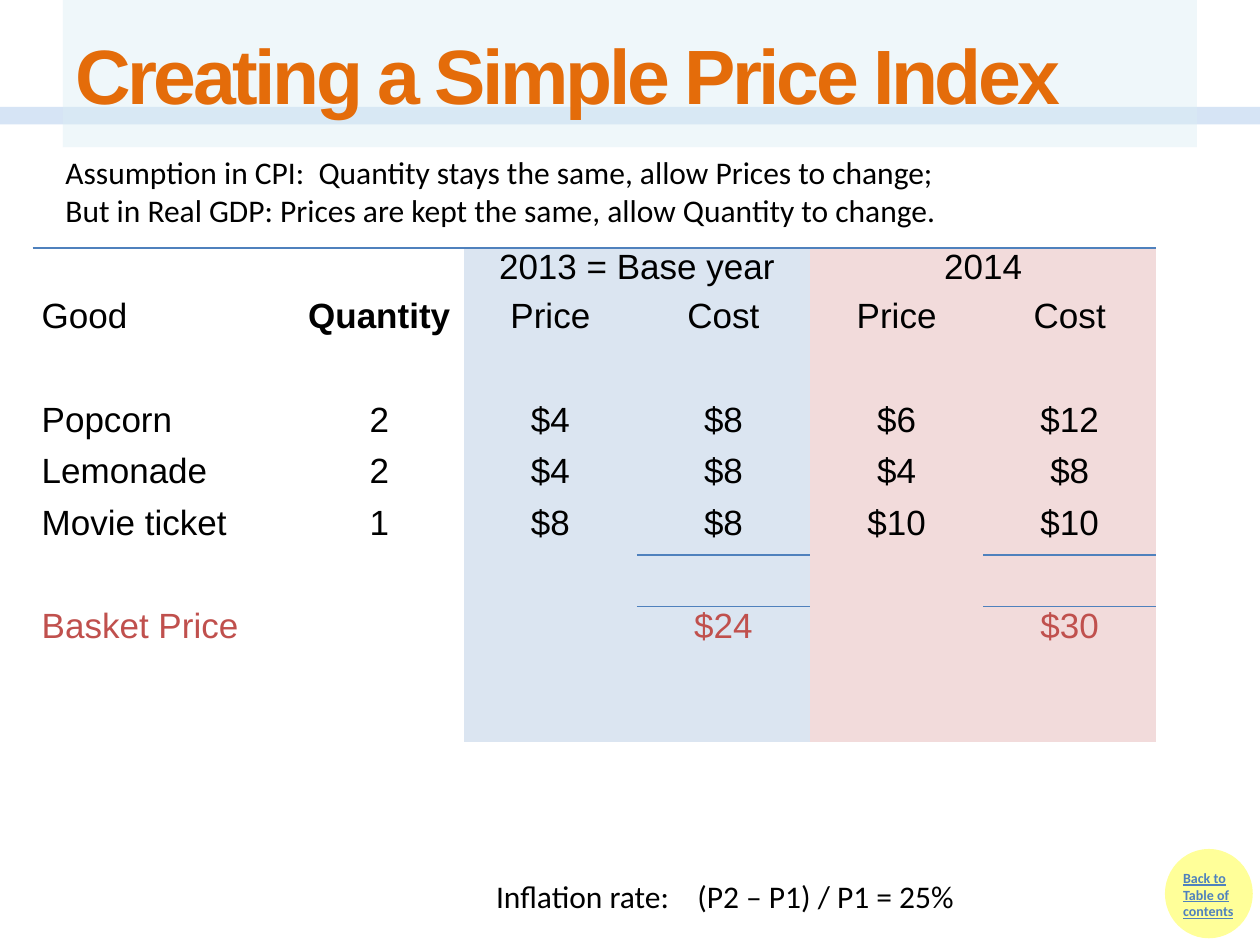
from pptx import Presentation
from pptx.dml.color import RGBColor
from pptx.enum.shapes import MSO_CONNECTOR, MSO_SHAPE
from pptx.enum.text import MSO_ANCHOR, PP_ALIGN
from pptx.oxml import parse_xml
from pptx.oxml.ns import nsdecls, qn
from pptx.util import Cm, Pt
from lxml import etree

STRAIGHT = MSO_CONNECTOR.STRAIGHT
RECTANGLE, OVAL = MSO_SHAPE.RECTANGLE, MSO_SHAPE.OVAL
LEFT, CENTER = PP_ALIGN.LEFT, PP_ALIGN.CENTER
TOP, MIDDLE = MSO_ANCHOR.TOP, MSO_ANCHOR.MIDDLE

COLORS = {
    "band": "C6D9F1", "title_fill": "DBEEF4", "title": "E46C0A",
    "button": "FFFF99", "accent": "4F81BD", "text": "000000",
    "base_year": "DBE5F1", "next_year": "F2DBDB", "basket": "C0504D",
}
NO_STYLE = "{2D5ABB26-0587-4C30-8999-92F81FD0307C}"

COLUMN_WIDTHS = [5.28, 3.41] + [3.49] * 4
ROW_HEIGHTS = [0.99] + [1.04] * 7 + [1.68]
COLUMN_FILLS = [None] * 2 + ["base_year"] * 2 + ["next_year"] * 2
COST_COLUMNS = (3, 5)
HEADER_ROW, LAST_GOOD_ROW, BASKET_ROW = 1, 5, 7
MERGED_ROWS = (0, 8)
ROWS = [
    ["", "", "2013 = Base year", "", "2014", ""],
    ["Good", "Quantity", "Price", "Cost", "Price", "Cost"],
    [""] * 6,
    ["Popcorn", "2", "$4", "$8", "$6", "$12"],
    ["Lemonade", "2", "$4", "$8", "$4", "$8"],
    ["Movie ticket", "1", "$8", "$8", "$10", "$10"],
    [""] * 6,
    ["Basket Price", "", "", "$24", "", "$30"],
    [""] * 6,
]


def rgb(name):
    return RGBColor.from_string(COLORS[name])


class SlideBuilder:
    def __init__(self, page, body_font="Calibri", table_font="Arial"):
        self.page = page
        self.body_font = body_font
        self.table_font = table_font

    def set_alpha(self, element, percent):
        color = next(element.iter(qn("a:srgbClr")))
        etree.SubElement(color, qn("a:alpha")).set("val", str(percent * 1000))

    def span(self, para, text, size, color="text", font=None, bold=False, underline=False):
        span = para.add_run()
        span.text = text
        span.font.name = font or self.body_font
        span.font.size = Pt(size)
        span.font.bold = bold
        span.font.underline = underline
        span.font.color.rgb = rgb(color)
        return span

    def line(self, start, end, color, width, alpha):
        line = self.page.shapes.add_connector(STRAIGHT, *map(Cm, start + end))
        line.line.color.rgb = rgb(color)
        line.line.width = Pt(width)
        properties = line._element.spPr
        self.set_alpha(properties, alpha)
        etree.SubElement(properties, qn("a:effectLst"))

    def shape(self, kind, place, fill, outline=None, alpha=None):
        shape = self.page.shapes.add_shape(kind, *map(Cm, place))
        shape.shadow.inherit = False
        shape.fill.solid()
        shape.fill.fore_color.rgb = rgb(fill)
        if alpha is not None:
            self.set_alpha(shape._element.spPr, alpha)
        if outline:
            shape.line.color.rgb = rgb(outline)
            shape.line.width = Pt(2)
        else:
            shape.line.fill.background()
        return shape

    def title(self, text, place):
        frame = self.shape(RECTANGLE, place, "title_fill", alpha=44).text_frame
        frame.word_wrap = True
        frame.vertical_anchor = MIDDLE
        para = frame.paragraphs[0]
        para.alignment = LEFT
        span = self.span(para, text, 44, "title", "Arial", bold=True)
        span.font._element.set("spc", "-200")

    def text(self, lines, place, size, tab=None, **style):
        frame = self.page.shapes.add_textbox(*map(Cm, place)).text_frame
        frame.word_wrap = True
        for number, line in enumerate(lines):
            para = frame.add_paragraph() if number else frame.paragraphs[0]
            if tab:
                stops = etree.SubElement(para._p.get_or_add_pPr(), qn("a:tabLst"))
                etree.SubElement(stops, qn("a:tab"), pos=str(Cm(tab)), algn="l")
            self.span(para, line, size, **style)

    def border(self, cell, side, color):
        properties = cell._tc.get_or_add_tcPr()
        properties.insert(0, parse_xml(
            f'<a:{side} {nsdecls("a")} w="12700"><a:solidFill>'
            f'<a:srgbClr val="{COLORS[color]}"/></a:solidFill></a:{side}>'))

    def cell(self, cell, text, fill, align, color, bold):
        cell.margin_left = cell.margin_right = Cm(0.18)
        cell.margin_top = cell.margin_bottom = 0
        cell.vertical_anchor = TOP
        if fill:
            cell.fill.solid()
            cell.fill.fore_color.rgb = rgb(fill)
        else:
            cell.fill.background()
        para = cell.text_frame.paragraphs[0]
        para.alignment = align
        if text:
            self.span(para, text, 20, color, self.table_font, bold)

    def price_table(self, left, top):
        table_frame = self.page.shapes.add_table(
            len(ROWS), len(COLUMN_WIDTHS), Cm(left), Cm(top),
            Cm(sum(COLUMN_WIDTHS)), Cm(sum(ROW_HEIGHTS)))
        table = table_frame.table
        table.first_row = table.horz_banding = False
        next(table._tbl.iter(qn("a:tableStyleId"))).text = NO_STYLE
        for column, width in zip(table.columns, COLUMN_WIDTHS):
            column.width = Cm(width)
        for row, height in zip(table.rows, ROW_HEIGHTS):
            row.height = Cm(height)

        for r, texts in enumerate(ROWS):
            for c, text in enumerate(texts):
                cell = table.cell(r, c)
                self.cell(cell, text, COLUMN_FILLS[c],
                          CENTER if c else LEFT,
                          "basket" if r == BASKET_ROW else "text",
                          (r, c) == (HEADER_ROW, 1))
                if r == 0:
                    self.border(cell, "lnT", "accent")
                if c in COST_COLUMNS and r == LAST_GOOD_ROW:
                    self.border(cell, "lnB", "accent")
                if c in COST_COLUMNS and r == LAST_GOOD_ROW + 1:
                    self.border(cell, "lnT", "accent")

        for r in MERGED_ROWS:
            for c in range(0, len(COLUMN_WIDTHS), 2):
                table.cell(r, c).merge(table.cell(r, c + 1))


def main():
    deck = Presentation()
    deck.slide_width, deck.slide_height = Cm(25.4), Cm(19.05)
    builder = SlideBuilder(deck.slides.add_slide(deck.slide_layouts[6]))

    # Background band and contents button
    builder.line((0, 2.33), (25.4, 2.33), "band", 10, 71)
    builder.shape(OVAL, (23.52, 17.15, 1.7, 1.73), "button", "button")
    builder.text(["Back to Table of contents"], (23.6, 17.4, 1.83, 1.7), 8,
                 color="accent", bold=True, underline=True)

    # Title
    builder.title("Creating a Simple Price Index", (1.27, 0, 22.86, 2.97))

    # Price table
    builder.price_table(0.66, 5)

    # Inflation formula and assumptions
    builder.text(["Inflation rate:\t(P2 – P1) / P1 = 25%"],
                 (9.75, 17.55, 9.88, 1.02), 18, tab=4.06)
    builder.text(
        ["Assumption in CPI:  Quantity stays the same, allow Prices to change;",
         "But in Real GDP: Prices are kept the same, allow Quantity to change."],
        (1.07, 2.97, 18.92, 1.8), 18)

    deck.save("out.pptx")


if __name__ == "__main__":
    main()
